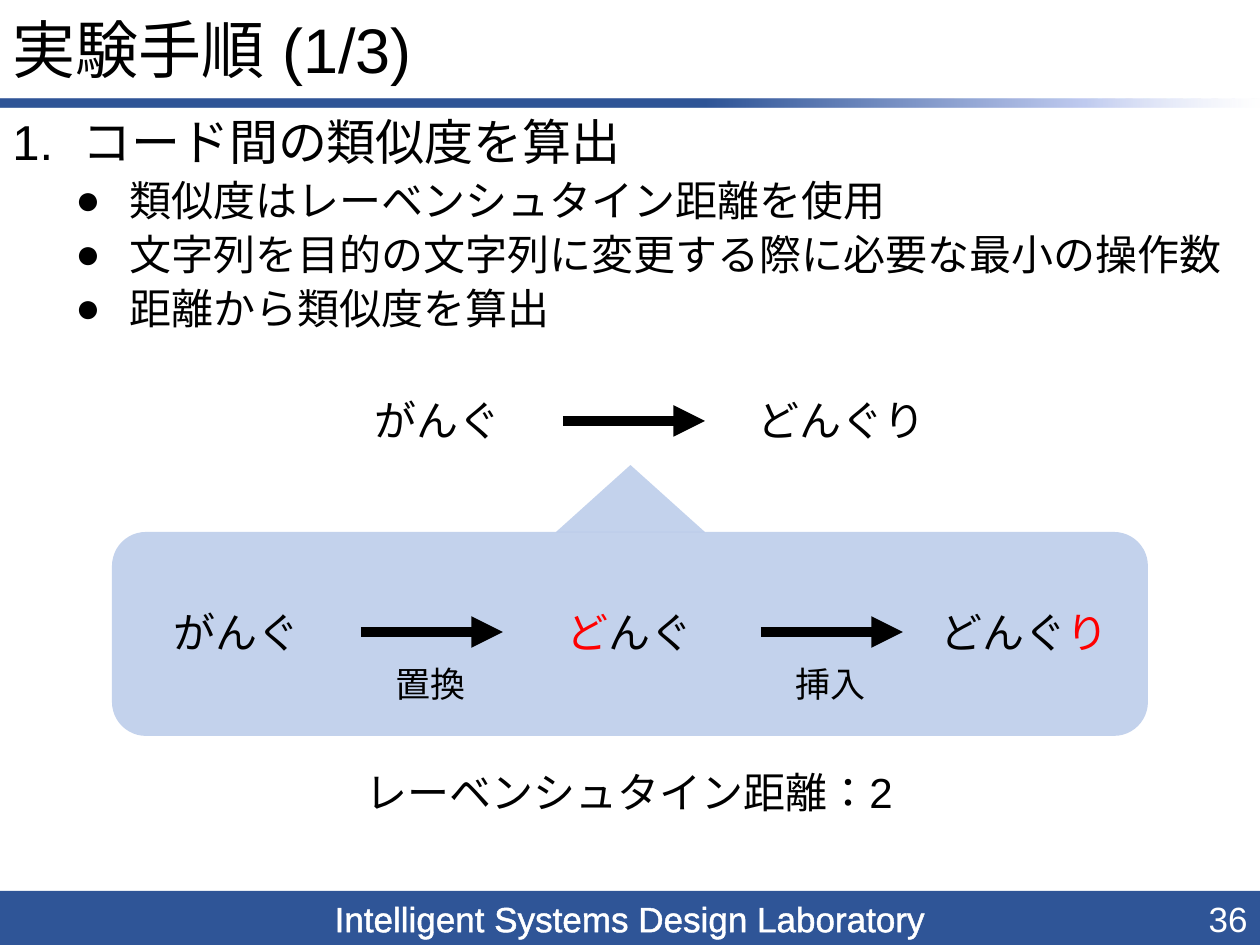
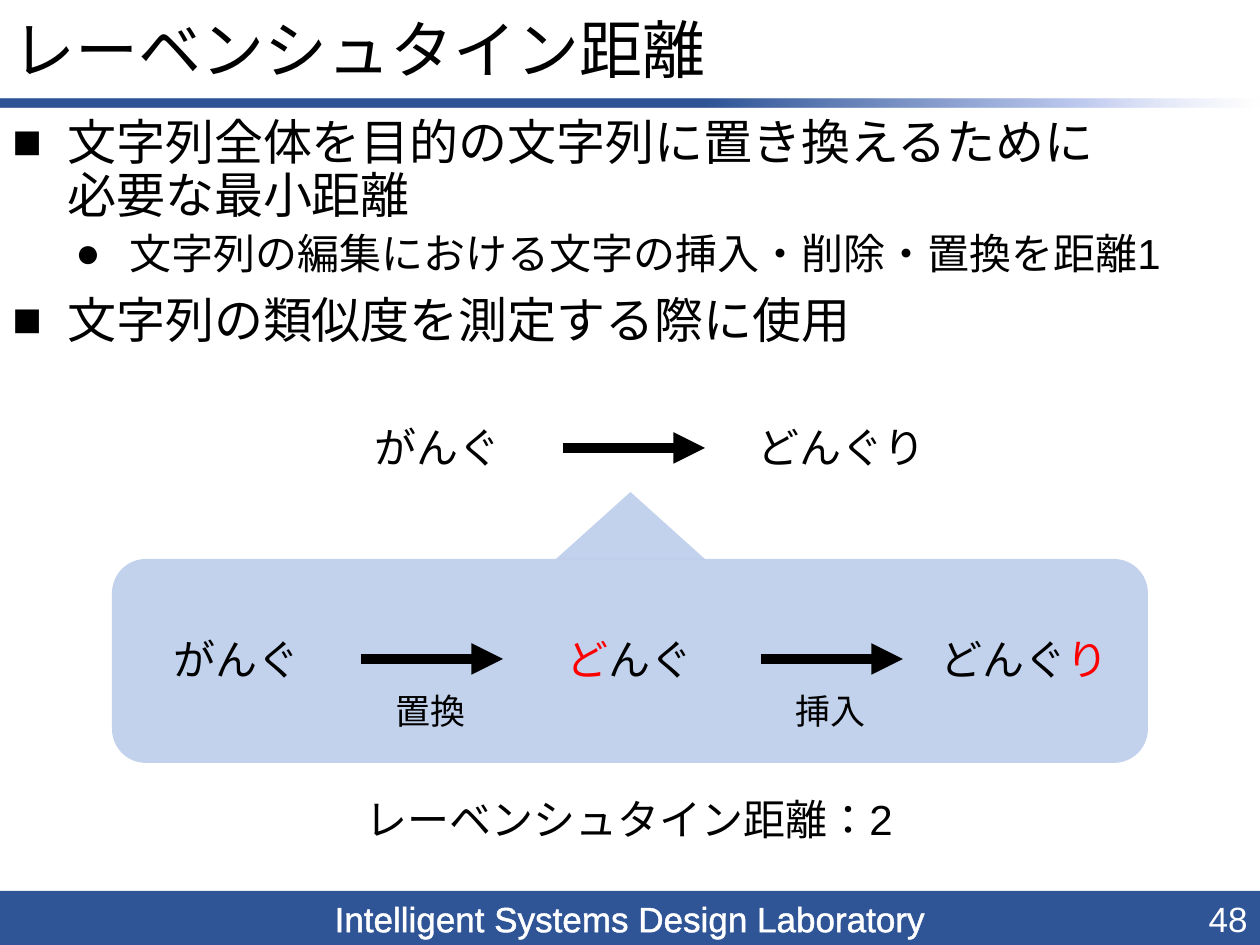
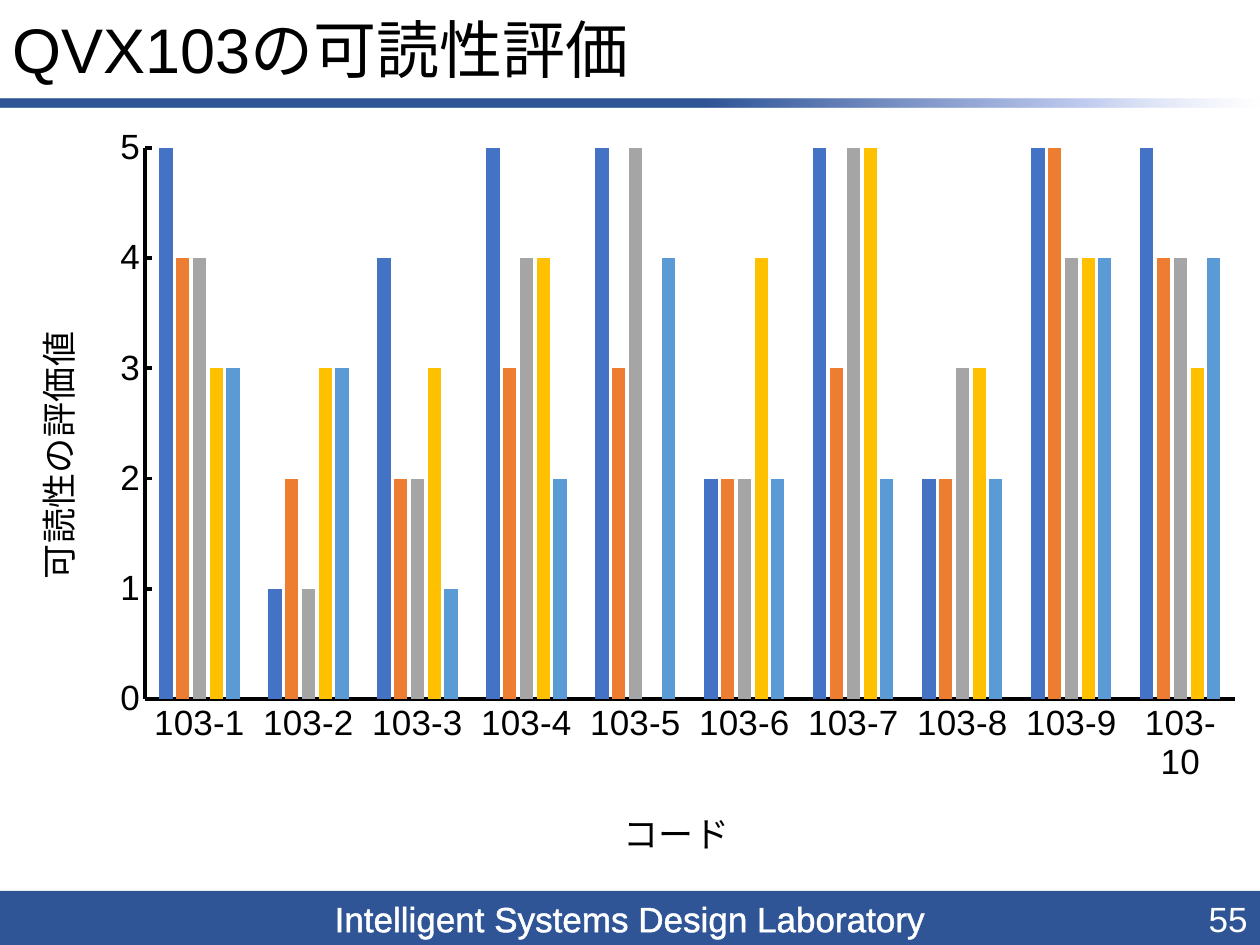
from dataclasses import dataclass

from lxml import etree
from pptx import Presentation
from pptx import util as u
from pptx.chart.data import CategoryChartData
from pptx.dml.color import RGBColor
from pptx.enum import chart as charts, lang, shapes, text
from pptx.oxml import parse_xml
from pptx.oxml.ns import nsdecls, qn

SCALE = 914400 // 126
WIDE, HIGH = 1260, 945
BODY = (0, 112, WIDE, 779)


@dataclass(frozen=True)
class Theme:
    face: str = "Arial"
    ink: str = "000000"
    paper: str = "FFFFFF"
    band: str = "2F5597"
    mark: str = "FF0000"
    bubble: str = "8FAADC"
    fade: tuple = ((56, "2F5597", 100), (86, "C0CBF0", 100), (100, "E0E5F7", 0))
    bars: tuple = ("4472C4", "ED7D31", "A5A5A5", "FFC000", "5B9BD5")
    head: int = 36
    main: int = 28
    sub: int = 24
    small: int = 20


def px(n):
    return u.Emu(round(n * SCALE))


def rgb(code):
    return RGBColor.from_string(code)


class Deck:
    def __init__(self, theme):
        self.look = theme
        self.show = Presentation()
        self.show.slide_width, self.show.slide_height = px(WIDE), px(HIGH)
        self.slide = None

    # Text style
    def font(self, font, size, color=None):
        font.size, font.name, font.bold = u.Pt(size), self.look.face, False
        font.color.rgb = rgb(color or self.look.ink)
        font.language_id = lang.MSO_LANGUAGE_ID.JAPANESE
        props = font._element
        east = props.find(qn("a:ea"))
        if east is None:
            east = etree.Element(qn("a:ea"))
            props.find(qn("a:latin")).addnext(east)
        east.set("typeface", self.look.face)

    # Slide with title, bands and number
    def page(self, title, number):
        look = self.look
        self.slide = self.show.slides.add_slide(self.show.slide_layouts[5])
        foot = self.shape(shapes.MSO_SHAPE.RECTANGLE, 0, 891, WIDE, 54, look.band)
        frame = foot.text_frame
        frame.vertical_anchor = text.MSO_ANCHOR.TOP
        para = frame.paragraphs[0]
        para.alignment = text.PP_ALIGN.CENTER
        run = para.add_run()
        run.text = "Intelligent Systems Design Laboratory"
        self.font(run.font, look.small, look.paper)
        run.font._element.insert(0, parse_xml(
            f'<a:ln {nsdecls("a")} w="9525"><a:solidFill>'
            f'<a:srgbClr val="{look.paper}"/></a:solidFill></a:ln>'))
        self.rule()

        name = self.slide.shapes.title
        name.left, name.top, name.width, name.height = px(0), px(7), px(WIDE), px(93)
        frame = name.text_frame
        frame.text = title
        frame.auto_size = text.MSO_AUTO_SIZE.NONE
        frame.vertical_anchor = text.MSO_ANCHOR.MIDDLE
        para = frame.paragraphs[0]
        para.alignment, para.line_spacing = text.PP_ALIGN.LEFT, 0.9
        self.font(para.font, look.head)

        box = self.label(976, 891, 284, 54, [(str(number), look.paper)],
                         look.small, text.PP_ALIGN.RIGHT)
        box.text_frame.vertical_anchor = text.MSO_ANCHOR.MIDDLE

    def rule(self):
        bar = self.shape(shapes.MSO_SHAPE.RECTANGLE, 0, 99, WIDE, 8, self.look.band)
        stops = "".join(
            f'<a:gs pos="{at * 1000}"><a:srgbClr val="{code}">'
            f'<a:alpha val="{solid * 1000}"/></a:srgbClr></a:gs>'
            for at, code, solid in self.look.fade)
        props = bar._element.spPr
        props.replace(props.find(qn("a:solidFill")), parse_xml(
            f'<a:gradFill {nsdecls("a")}><a:gsLst>{stops}</a:gsLst>'
            '<a:lin ang="0" scaled="0"/></a:gradFill>'))

    # Basic elements
    def shape(self, kind, x, y, w, h, color, solid=100):
        item = self.slide.shapes.add_shape(kind, px(x), px(y), px(w), px(h))
        item.shadow.inherit = False
        item.fill.solid()
        item.fill.fore_color.rgb = rgb(color)
        item.line.fill.background()
        if solid < 100:
            tone = item._element.spPr.find(".//" + qn("a:srgbClr"))
            etree.SubElement(tone, qn("a:alpha")).set("val", str(solid * 1000))
        return item

    def label(self, x, y, w, h, parts, size, align=text.PP_ALIGN.LEFT):
        box = self.slide.shapes.add_textbox(px(x), px(y), px(w), px(h))
        box.text_frame.word_wrap = True
        para = box.text_frame.paragraphs[0]
        para.alignment = align
        for words, color in parts:
            run = para.add_run()
            run.text = words
            if len(parts) > 1:
                self.font(run.font, size, color)
        if len(parts) == 1:
            self.font(para.font, size, parts[0][1])
        return box

    def arrow(self, x, y, length=142):
        line = self.slide.shapes.add_connector(
            shapes.MSO_CONNECTOR.STRAIGHT, px(x), px(y), px(x + length), px(y))
        line.line.width = u.Pt(6)
        line.line.color.rgb = rgb(self.look.ink)
        etree.SubElement(line.line._get_or_add_ln(), qn("a:tailEnd")).set("type", "triangle")
        etree.SubElement(line._element.spPr, qn("a:effectLst"))

    # Bulleted text: rows of (mark, words); a dot marks the second level
    def body(self, rows):
        look = self.look
        box = self.slide.shapes.add_textbox(*map(px, BODY))
        frame = box.text_frame
        frame.word_wrap = True
        indents = {"1.": (70, 70), "■": (55, 55), "●": (117, 54)}
        for i, (mark, words) in enumerate(rows):
            para = frame.paragraphs[0] if i == 0 else frame.add_paragraph()
            para.text = words
            deep = mark == "●"
            para.level = int(deep)
            para.line_spacing, para.space_before = 0.9, u.Pt(5 if deep else 10)
            self.font(para.font, look.sub if deep else look.main)
            props = para._p.get_or_add_pPr()
            left, hang = indents[mark]
            props.set("marL", str(px(left)))
            props.set("indent", str(-px(hang)))
            if mark == "1.":
                signs = [etree.Element(qn("a:buAutoNum"), type="arabicPeriod")]
            else:
                signs = [etree.Element(qn("a:buFont"), typeface=look.face),
                         etree.Element(qn("a:buChar"), char=mark)]
            for sign in signs:
                props.find(qn("a:defRPr")).addprevious(sign)

    # Edit steps from one word to another, with the callout
    def steps(self, top):
        look, mid = self.look, text.PP_ALIGN.CENTER
        ink, red = look.ink, look.mark
        self.label(362, top, 161, 63, [("がんぐ", ink)], look.sub)
        self.arrow(563, top + 33)
        self.label(745, top, 198, 63, [("どんぐり", ink)], look.sub)

        self.shape(shapes.MSO_SHAPE.ROUNDED_RECTANGLE, 112, top + 144, 1036, 204,
                   look.bubble, 53)
        self.shape(shapes.MSO_SHAPE.ISOSCELES_TRIANGLE, 556, top + 77, 149, 67,
                   look.bubble, 53)

        row = top + 212
        self.label(161, row, 164, 63, [("がんぐ", ink)], look.sub)
        self.label(548, row, 164, 63, [("ど", red), ("んぐ", ink)], look.sub, mid)
        self.label(928, row, 198, 63, [("どんぐ", ink), ("り", red)], look.sub)
        for x, words in ((361, "置換"), (761, "挿入")):
            self.arrow(x, row + 32)
            self.label(x + 20, row + 56, 99, 55, [(words, ink)], look.small, mid)
        self.label(350, top + 372, 558, 63, [("レーベンシュタイン距離：2", ink)],
                   look.sub, mid)

    # Column chart; spots are pixels within the chart
    def place(self, layout, x, y, w=None, h=None):
        spots = {"xMode": "edge", "yMode": "edge", "x": x / BODY[2], "y": y / BODY[3]}
        if w:
            spots = {"layoutTarget": "inner", **spots, "w": w / BODY[2], "h": h / BODY[3]}
        manual = etree.SubElement(layout, qn("c:manualLayout"))
        for key, val in spots.items():
            etree.SubElement(manual, qn("c:" + key)).set("val", str(val))

    def axis(self, axis, words, x, y, turn=0):
        look = self.look
        axis.has_major_gridlines = False
        axis.major_tick_mark = axis.minor_tick_mark = charts.XL_TICK_MARK.NONE
        axis.format.line.width = u.Pt(2.25)
        axis.format.line.color.rgb = rgb(look.ink)
        self.font(axis.tick_labels.font, look.small)
        frame = axis.axis_title.text_frame
        frame.text = words
        self.font(frame.paragraphs[0].font, look.small)
        frame._txBody.find(qn("a:bodyPr")).set("rot", str(turn * 60000))
        title = axis.axis_title._element
        layout = title.find(qn("c:layout"))
        if layout is None:
            layout = etree.Element(qn("c:layout"))
            title.find(qn("c:tx")).addnext(layout)
        self.place(layout, x, y)

    def columns(self, names, rows):
        data = CategoryChartData()
        data.categories = names
        for i, vals in enumerate(rows, 1):
            data.add_series(f"Series {i}", vals)
        chart = self.slide.shapes.add_chart(
            charts.XL_CHART_TYPE.COLUMN_CLUSTERED, *map(px, BODY), data).chart
        chart.has_legend = chart.has_title = False
        self.font(chart.font, self.look.small)
        plot = chart.plots[0]
        plot.gap_width, plot.overlap, plot.vary_by_categories = 219, -27, False
        for series, color in zip(plot.series, self.look.bars):
            series.format.fill.solid()
            series.format.fill.fore_color.rgb = rgb(color)
        self.axis(chart.category_axis, "コード", 617, 694)
        scale = chart.value_axis
        self.axis(scale, "可読性の評価値", 31, 213, -90)
        scale.major_tick_mark = charts.XL_TICK_MARK.INSIDE
        scale.minimum_scale, scale.maximum_scale, scale.major_unit = 0, 5, 1
        area = chart._chartSpace.find(".//" + qn("c:plotArea"))
        layout = area.find(qn("c:layout"))
        if layout is None:
            layout = etree.Element(qn("c:layout"))
            area.insert(0, layout)
        self.place(layout, 145, 36, 1090, 551)


deck = Deck(Theme())

# Procedure
deck.page("実験手順 (1/3)", 36)
deck.body([
    ("1.", "コード間の類似度を算出"),
    ("●", "類似度はレーベンシュタイン距離を使用"),
    ("●", "文字列を目的の文字列に変更する際に必要な最小の操作数"),
    ("●", "距離から類似度を算出"),
])
deck.steps(388)

# Distance
deck.page("レーベンシュタイン距離", 48)
deck.body([
    ("■", "文字列全体を目的の文字列に置き換えるために\v必要な最小距離"),
    ("●", "文字列の編集における文字の挿入・削除・置換を距離1"),
    ("■", "文字列の類似度を測定する際に使用"),
])
deck.steps(415)

# Ratings
deck.page("QVX103の可読性評価", 55)
deck.columns([f"103-{n}" for n in range(1, 11)], [
    (5, 1, 4, 5, 5, 2, 5, 2, 5, 5),
    (4, 2, 2, 3, 3, 2, 3, 2, 5, 4),
    (4, 1, 2, 4, 5, 2, 5, 3, 4, 4),
    (3, 3, 3, 4, None, 4, 5, 3, 4, 3),
    (3, 3, 1, 2, 4, 2, 2, 2, 4, 4),
])

deck.show.save("out.pptx")
